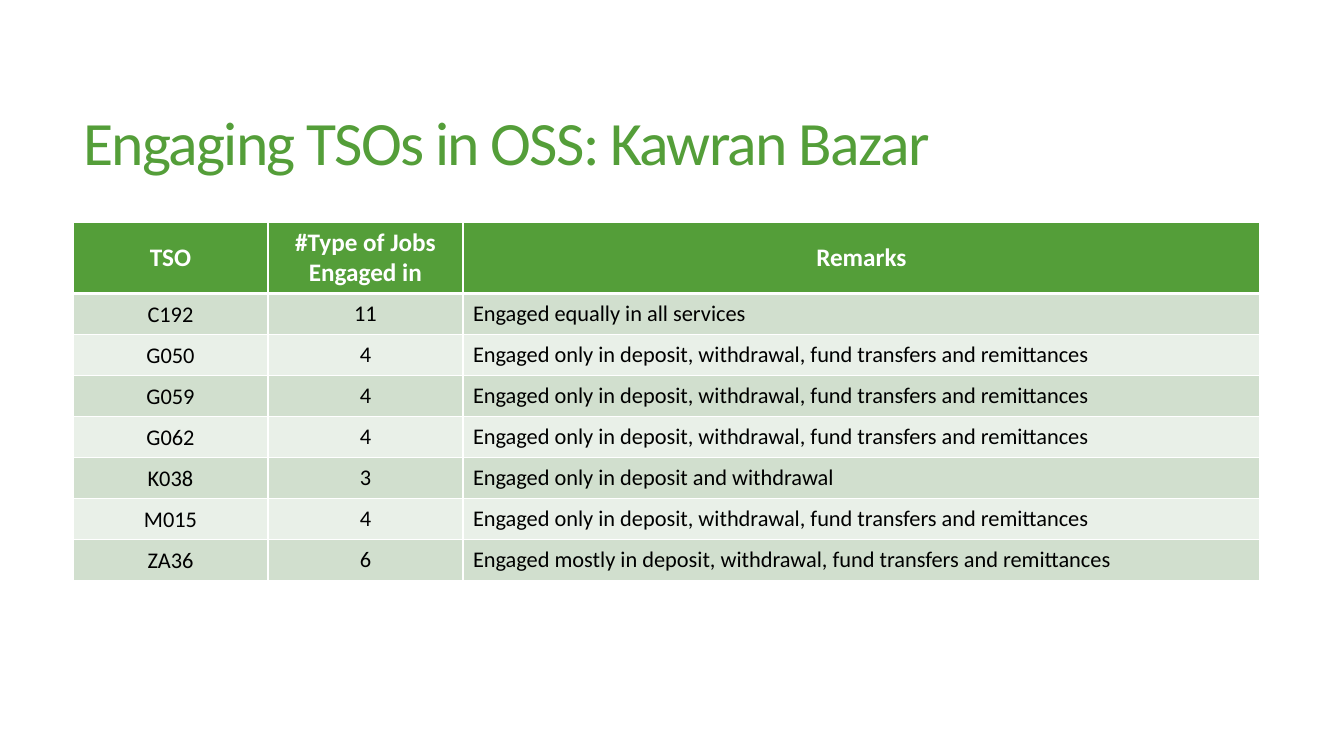
import dataclasses

import lxml.etree
import pptx
import pptx.dml.color
import pptx.enum.text
import pptx.oxml.ns
import pptx.util

PIXEL = pptx.util.Inches(1) / 100.8
FONT = "Calibri"
COLORS = {
    "green": "549E39",
    "band_dark": "D1DFCE",
    "band_light": "E9F0E8",
    "white": "FFFFFF",
    "black": "000000",
}
ALIGN = pptx.enum.text.PP_ALIGN
MIDDLE = pptx.enum.text.MSO_ANCHOR.MIDDLE

TABLE_LEFT, TABLE_TOP = 73, 222
COLUMN_WIDTHS = (195, 195, 797)
HEADER_HEIGHT, ROW_HEIGHT = 71, 41
HEADINGS = ("TSO", "#Type of Jobs Engaged in", "Remarks")
FOUR_SERVICES = "deposit, withdrawal, fund transfers and remittances"


@dataclasses.dataclass(frozen=True)
class Officer:
    """One TSO with its number of job types and a remark."""
    code: str
    jobs: int
    remark: str


OFFICERS = (
    Officer("C192", 11, "Engaged equally in all services"),
    Officer("G050", 4, f"Engaged only in {FOUR_SERVICES}"),
    Officer("G059", 4, f"Engaged only in {FOUR_SERVICES}"),
    Officer("G062", 4, f"Engaged only in {FOUR_SERVICES}"),
    Officer("K038", 3, "Engaged only in deposit and withdrawal"),
    Officer("M015", 4, f"Engaged only in {FOUR_SERVICES}"),
    Officer("ZA36", 6, f"Engaged mostly in {FOUR_SERVICES}"),
)


@dataclasses.dataclass(frozen=True)
class CellStyle:
    """Look of a table cell, with border widths in points."""
    fill: str
    color: str
    size: int
    bold: bool
    top: int
    bottom: int


def px(length: int) -> int:
    """Turn pixels into EMU."""
    return round(length * PIXEL)


def rgb(name: str) -> pptx.dml.color.RGBColor:
    """Look up a named colour."""
    return pptx.dml.color.RGBColor.from_string(COLORS[name])


def format_paragraph(para, size: int, color: str, align, bold: bool = False) -> None:
    """Set the alignment and font of a paragraph."""
    para.alignment = align
    para.font.name = FONT
    para.font.size = pptx.util.Pt(size)
    para.font.bold = bold
    para.font.color.rgb = rgb(color)


def set_borders(cell, top: int, bottom: int) -> None:
    """Give a cell white borders, one point wide at the sides."""
    properties = cell._tc.get_or_add_tcPr()
    widths = {"lnL": 1, "lnR": 1, "lnT": top, "lnB": bottom}
    for index, (tag, width) in enumerate(widths.items()):
        line = lxml.etree.Element(pptx.oxml.ns.qn(f"a:{tag}"), w=str(pptx.util.Pt(width)))
        fill = lxml.etree.SubElement(line, pptx.oxml.ns.qn("a:solidFill"))
        lxml.etree.SubElement(fill, pptx.oxml.ns.qn("a:srgbClr"), val=COLORS["white"])
        properties.insert(index, line)


def fill_cell(cell, text: str, style: CellStyle, align) -> None:
    """Write and format one table cell."""
    cell.text = text
    cell.vertical_anchor = MIDDLE
    cell.fill.solid()
    cell.fill.fore_color.rgb = rgb(style.fill)
    format_paragraph(cell.text_frame.paragraphs[0], style.size, style.color, align, style.bold)
    set_borders(cell, style.top, style.bottom)


def add_title(page, text: str) -> None:
    """Place and format the title placeholder."""
    title = page.shapes.title
    title.left, title.top, title.width, title.height = map(px, (73, 55, 1187, 183))
    frame = title.text_frame
    frame.text = text
    frame.word_wrap = True
    frame.auto_size = pptx.enum.text.MSO_AUTO_SIZE.NONE
    frame.vertical_anchor = MIDDLE
    para = frame.paragraphs[0]
    para.line_spacing = 0.85
    format_paragraph(para, 44, "green", ALIGN.LEFT)
    para.runs[0]._r.get_or_add_rPr().set("spc", "-120")


def add_officer_table(page) -> None:
    """Draw the table of officers with a header and banded rows."""
    heights = [HEADER_HEIGHT] + [ROW_HEIGHT] * len(OFFICERS)
    table = page.shapes.add_table(
        len(heights), len(COLUMN_WIDTHS), px(TABLE_LEFT), px(TABLE_TOP),
        px(sum(COLUMN_WIDTHS)), px(sum(heights))).table
    for column, width in zip(table.columns, COLUMN_WIDTHS):
        column.width = px(width)
    for row, height in zip(table.rows, heights):
        row.height = px(height)

    header = CellStyle("green", "white", 18, True, top=1, bottom=3)
    for column, heading in enumerate(HEADINGS):
        fill_cell(table.cell(0, column), heading, header, ALIGN.CENTER)

    for row, officer in enumerate(OFFICERS, start=1):
        band = "band_dark" if row % 2 else "band_light"
        style = CellStyle(band, "black", 16, False, top=3 if row == 1 else 1, bottom=1)
        code, jobs, remark = table.rows[row].cells
        fill_cell(code, officer.code, style, ALIGN.CENTER)
        fill_cell(jobs, str(officer.jobs), style, ALIGN.CENTER)
        fill_cell(remark, officer.remark, style, ALIGN.LEFT)
        code.margin_left = code.margin_top = code.margin_right = px(1)
        code.margin_bottom = 0


def main() -> None:
    """Build the deck and save it."""
    deck = pptx.Presentation()
    deck.slide_width, deck.slide_height = px(1344), px(756)
    page = deck.slides.add_slide(deck.slide_layouts.get_by_name("Title Only"))
    add_title(page, "Engaging TSOs in OSS: Kawran Bazar")
    add_officer_table(page)
    deck.save("out.pptx")


main()
